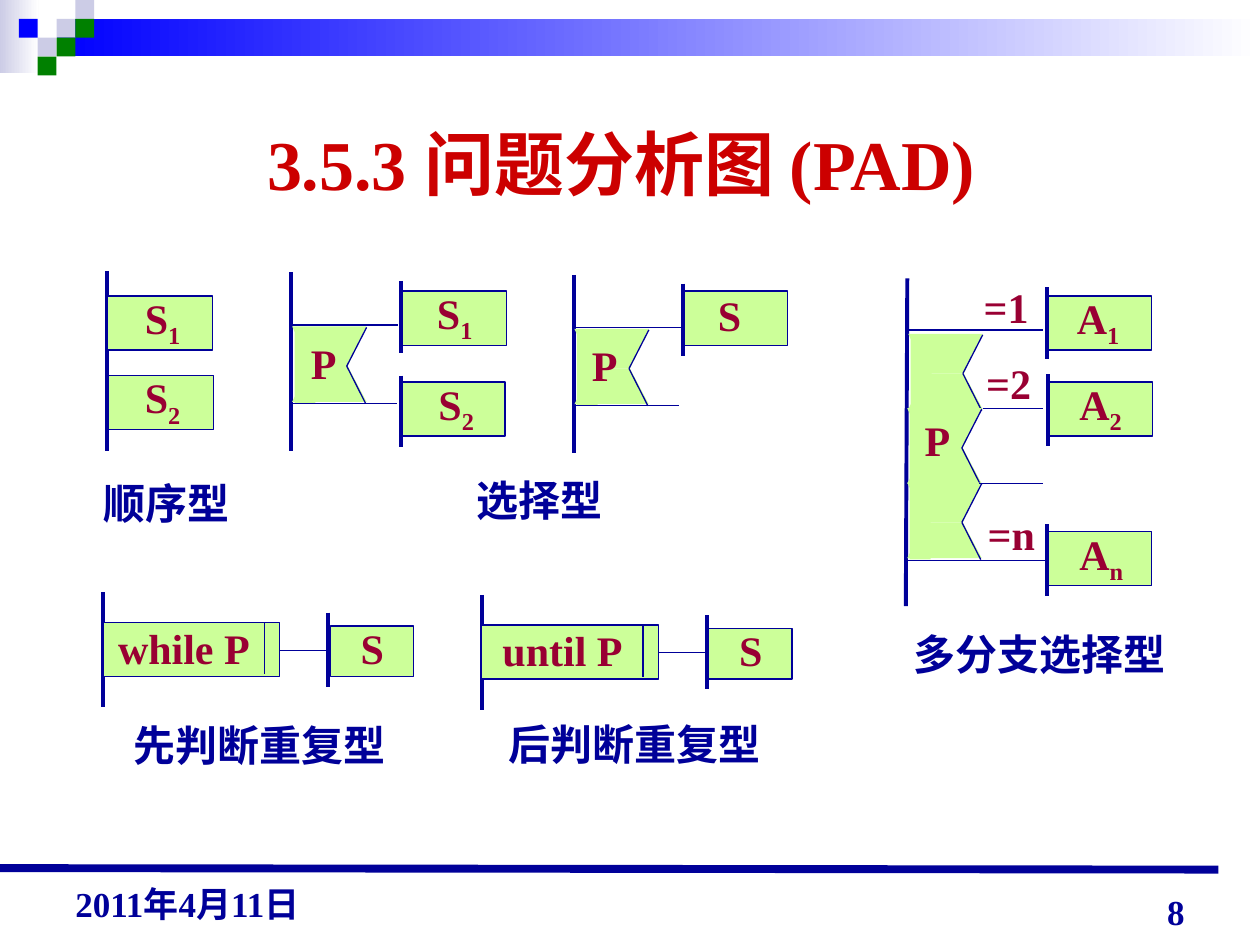
from lxml.etree import SubElement
from pptx import Presentation
from pptx.dml.color import RGBColor
from pptx.enum.shapes import MSO_CONNECTOR, MSO_SHAPE
from pptx.enum.text import MSO_ANCHOR, MSO_AUTO_SIZE, PP_ALIGN
from pptx.oxml.ns import qn
from pptx.util import Cm, Pt

HUES = {
    "navy": "000099", "lime": "CCFF99", "wine": "990033", "red": "CC0000",
    "blue": "0000FF", "green": "008000", "mist": "CCCCE6", "white": "FFFFFF",
}


def hue(name):
    return RGBColor.from_string(HUES[name])


class Pad:
    font = "Times New Roman"
    thin = 0.75
    thick = 2.25

    def __init__(self, slide):
        self.slide = slide
        self.shapes = slide.shapes

    def paint(self, shape, fill, edge=None):
        shape.shadow.inherit = False
        shape.fill.solid()
        shape.fill.fore_color.rgb = hue(fill)
        if edge:
            shape.line.color.rgb = hue(edge)
            shape.line.width = Pt(self.thin)
        else:
            shape.line.fill.background()

    def rect(self, x, y, w, h, fill="lime", edge=None):
        shape = self.shapes.add_shape(MSO_SHAPE.RECTANGLE, Cm(x), Cm(y), Cm(w), Cm(h))
        self.paint(shape, fill, edge)
        return shape

    def fade(self, x, y, w, h, tint):
        fill = self.rect(x, y, w, h, tint).fill
        fill.gradient()
        fill.gradient_angle = 0
        for stop, name in zip(fill.gradient_stops, (tint, "white")):
            stop.color.rgb = hue(name)

    def box(self, x, y, w=2.13, h=1.09):
        self.rect(x, y, w, h, edge="navy")

    def line(self, x1, y1, x2, y2, width=thin):
        line = self.shapes.add_connector(
            MSO_CONNECTOR.STRAIGHT, Cm(x1), Cm(y1), Cm(x2), Cm(y2))
        line.line.color.rgb = hue("navy")
        line.line.width = Pt(width)
        SubElement(line._element.spPr, qn("a:effectLst"))

    def bar(self, x, top, end):
        self.line(x, top, x, end, self.thick)

    def poly(self, *dots):
        dots = [(Cm(x), Cm(y)) for x, y in dots]
        form = self.shapes.build_freeform(*dots[0])
        form.add_line_segments(dots[1:], close=True)
        self.paint(form.convert_to_shape(), "lime")

    def flag(self, x, y):
        mid, low = y + 0.8, y + 1.52
        for edge in (y, low):
            self.poly((x, edge), (x + 1.5, edge), (x + 1.12, mid), (x + 0.38, mid))
        self.rect(x + 0.05, y + 0.05, 0.42, 1.5)
        self.line(x + 1.5, y + 0.02, x + 1.1, mid)
        self.line(x + 1.1, mid, x + 1.48, y + 1.55)

    def text(self, x, y, w, h, words, size=24, tint="wine", sub="",
             wrap=False, align=PP_ALIGN.LEFT, anchor=MSO_ANCHOR.TOP):
        frame = self.shapes.add_textbox(Cm(x), Cm(y), Cm(w), Cm(h)).text_frame
        frame.word_wrap = wrap
        frame.auto_size = MSO_AUTO_SIZE.NONE if wrap else MSO_AUTO_SIZE.SHAPE_TO_FIT_TEXT
        frame.vertical_anchor = anchor
        para = frame.paragraphs[0]
        para.alignment = align
        font = para.font
        font.name, font.size, font.bold = self.font, Pt(size), True
        font.color.rgb = hue(tint)
        para.add_run().text = words
        if sub:
            run = para.add_run()
            run.text = sub
            run._r.get_or_add_rPr().set("baseline", "-25000")

    def label(self, x, y, w, words, sub=""):
        self.text(x, y, w, 1.42 if sub else 1.27, words, sub=sub)

    def name(self, x, y, words):
        self.text(x, y, 0.51 + 0.85 * len(words), 1.27, words, tint="navy")

    def loop(self, x, y, words, left, width):
        self.bar(x, y - 0.61, y + 1.71)
        self.box(x, y, 3.56)
        self.line(x + 3.56, y + 0.56, x + 4.52, y + 0.56)
        self.bar(x + 4.54, y - 0.2, y + 1.29)
        self.box(x + 4.58, y + 0.07, 1.68, 1.02)
        self.line(x + 3.25, y, x + 3.25, y + 1.04)
        self.label(left, y - 0.13, width, words)
        self.label(x + 4.94, y - 0.13, 1.02, "S")

    def frame(self):
        self.fade(0, 0, 0.78, 1.48, "mist")
        self.fade(1.14, 0.38, 24.26, 0.76, "blue")
        step = 0.38
        tiles = [(3, 1, "mist"), (4, 0, "mist"), (4, 1, "green"), (2, 2, "mist"),
                 (1, 1, "blue"), (3, 2, "green"), (2, 3, "green")]
        for col, row, tint in tiles:
            self.rect(col * step, row * step, step, step, tint)
        self.line(0, 17.5, 24.56, 17.53, 4.5)
        self.text(1.09, 2.28, 22.86, 2.01, "3.5.3 问题分析图 (PAD)", 40, "red",
                  wrap=True, align=PP_ALIGN.CENTER, anchor=MSO_ANCHOR.MIDDLE)
        self.text(18.21, 17.65, 5.92, 1.27, "8", 20, "navy",
                  wrap=True, align=PP_ALIGN.RIGHT, anchor=MSO_ANCHOR.BOTTOM)
        self.text(1.27, 17.45, 5.92, 1.32, "2011年4月11日", 20, "navy",
                  wrap=True, anchor=MSO_ANCHOR.BOTTOM)


def main():
    deck = Presentation()
    deck.slide_width, deck.slide_height = Cm(25.4), Cm(19.05)
    pad = Pad(deck.slides.add_slide(deck.slide_layouts[6]))
    pad.frame()

    for x, top, end in [(2.16, 5.46, 9.09), (5.87, 5.49, 9.09), (11.58, 5.54, 9.14)]:
        pad.bar(x, top, end)
    pad.line(18.29, 5.61, 18.26, 12.22, pad.thick)

    for x, y in [(5.89, 6.58), (11.58, 6.63), (18.31, 6.73), (18.29, 8.23), (18.29, 9.73)]:
        pad.flag(x, y)
    rungs = [(5.87, 8.03, 6.55), (5.87, 8.0, 8.13), (11.56, 13.72, 6.6),
             (11.58, 13.69, 8.18), (18.26, 21.03, 6.65), (19.81, 21.03, 8.23),
             (19.74, 21.03, 9.75), (18.29, 21.06, 11.3)]
    for left, right, y in rungs:
        pad.line(left, y, right, y)

    steps = [(2.16, 5.97, 2.67, "S", "1"), (2.18, 7.57, 2.67, "S", "2"),
             (8.08, 5.87, 8.56, "S", "1"), (8.05, 7.7, 8.59, "S", "2"),
             (13.74, 5.87, 14.22, "S", ""), (21.08, 5.97, 21.46, "A", "1"),
             (21.11, 7.7, 21.51, "A", "2"), (21.08, 10.72, 21.51, "A", "n")]
    for x, y, left, word, sub in steps:
        pad.box(x, y)
        width = 1.6 if word == "A" else 1.3 if sub else 1.02
        pad.label(left, y - (0.2 if sub else 0.15), width, word, sub)
    bars = [(8.08, 5.66), (8.08, 7.57), (13.77, 5.72), (21.11, 5.79),
            (21.13, 7.54), (21.11, 10.57)]
    for x, y in bars:
        pad.bar(x, y, y + 1.45)

    for x, y in [(6.02, 6.68), (11.68, 6.71), (18.39, 8.23)]:
        pad.label(x, y, 1.05, "P")
    for x, y, case in [(19.58, 5.56, "=1"), (19.63, 7.09, "=2"), (19.66, 10.13, "=n")]:
        pad.label(x, y, 1.6, case)

    pad.loop(2.08, 12.55, "while P", 2.13, 3.5)
    pad.loop(9.71, 12.6, "until P", 9.88, 3.3)

    names = [(9.35, 9.45, "选择型"), (1.83, 9.5, "顺序型"), (18.16, 12.55, "多分支选择型"),
             (2.44, 14.38, "先判断重复型"), (10.01, 14.35, "后判断重复型")]
    for x, y, words in names:
        pad.name(x, y, words)

    deck.save("out.pptx")


if __name__ == "__main__":
    main()
